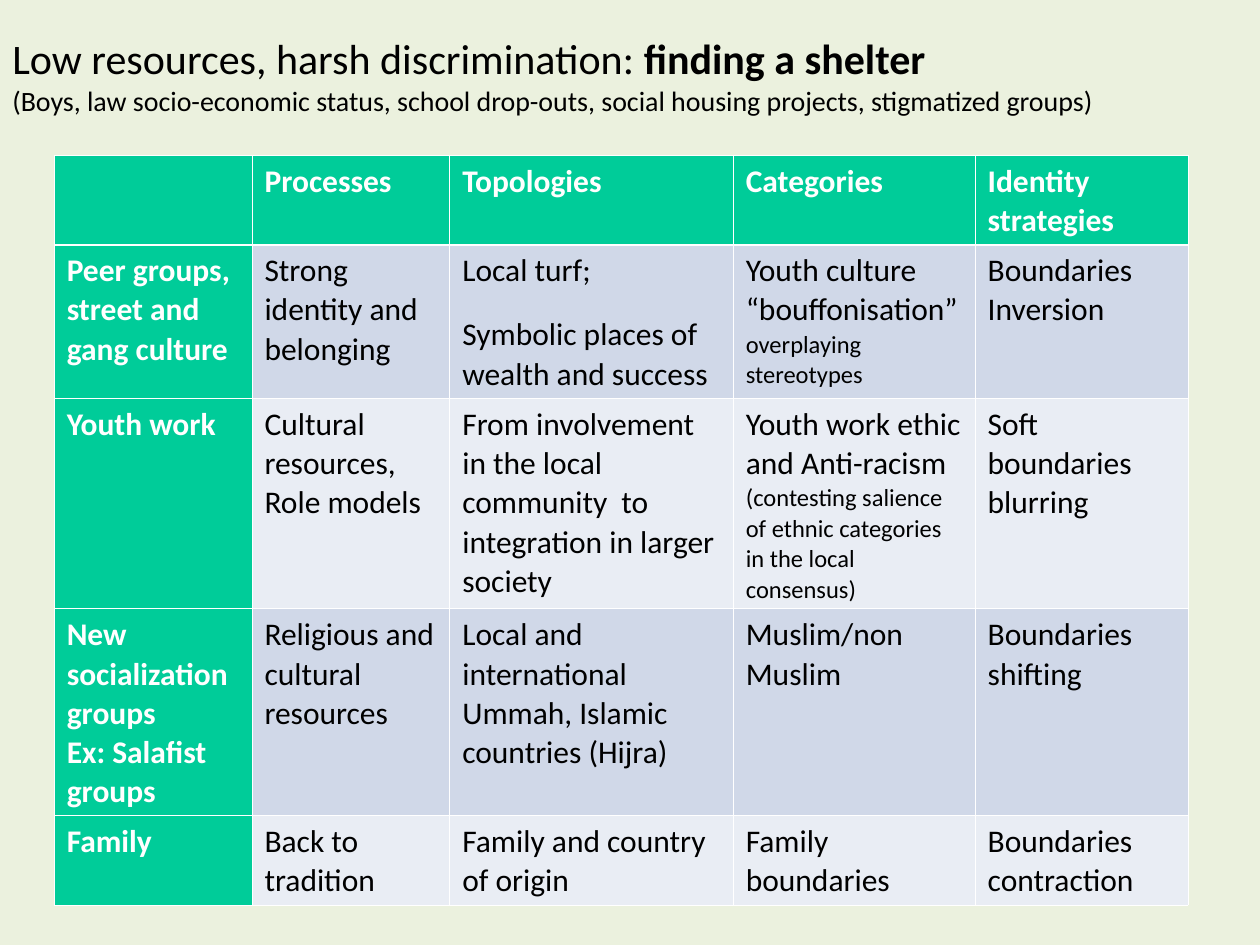
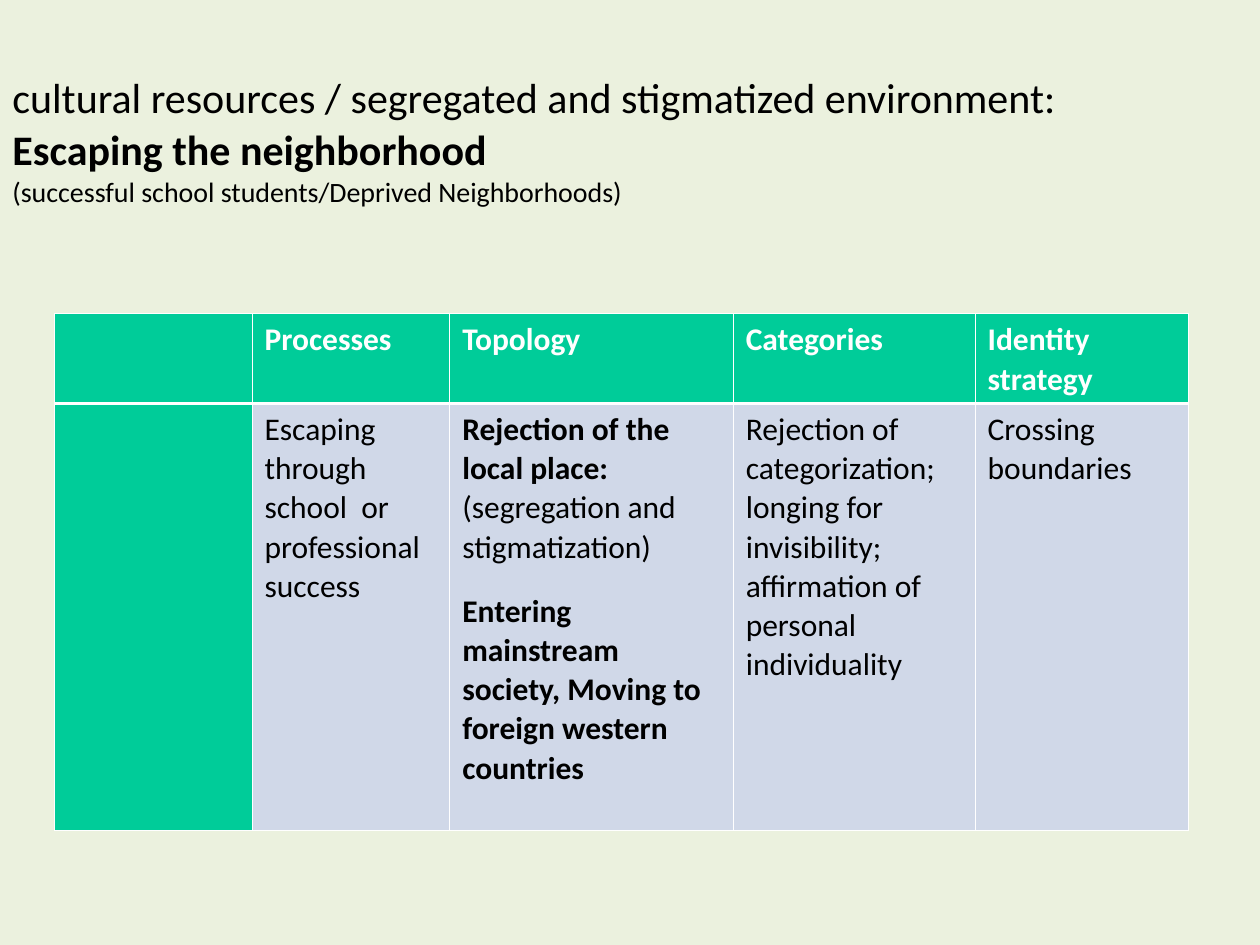
from lxml.etree import SubElement
from pptx import Presentation
from pptx.dml.color import RGBColor as RGB
from pptx.enum.text import MSO_ANCHOR as Anchor
from pptx.oxml.ns import qn
from pptx.util import Inches, Pt

COLORS = {
    "background": "EBF1DE",
    "header": "00CC99",
    "band_dark": "D0D8E8",
    "band_light": "E9EDF4",
    "border": "FFFFFF",
    "header_text": "FFFFFF",
    "text": "000000",
}
FONT = "Calibri"
COLUMN_WIDTHS = [1.57, 1.57, 2.25, 1.92, 1.69]
TITLE, SUBTITLE, BODY, DETAIL = 24, 16, 18, 14
THIN, THICK = 0.45, 1.47


def write(frame, paragraphs, color="text", after=0):
    frame.word_wrap = True
    for number, runs in enumerate(paragraphs):
        paragraph = frame.paragraphs[0] if number == 0 else frame.add_paragraph()
        paragraph.line_spacing = 1.02
        paragraph.space_after = Pt(after)
        for text, size, bold in runs:
            for part, line in enumerate(text.split("\n")):
                if part:
                    paragraph.add_line_break()
                if line:
                    run = paragraph.add_run()
                    run.text = line
                    run.font.name = FONT
                    run.font.size = Pt(size)
                    run.font.bold = bold
                    run.font.color.rgb = RGB.from_string(COLORS[color])


def draw_border(cell, side, width):
    line = SubElement(cell._tc.get_or_add_tcPr(), qn(f"a:ln{side}"), w=str(Pt(width)))
    fill = SubElement(line, qn("a:solidFill"))
    SubElement(fill, qn("a:srgbClr"), val=COLORS["border"])


shelter = {
    "title_top": 0,
    "title_height": 1.18,
    "title": [
        ("Low resources, harsh discrimination: ", TITLE, False),
        ("finding a shelter\n", TITLE, True),
        ("(Boys, law socio-economic status, school drop-outs, social housing projects, "
         "stigmatized groups)", SUBTITLE, False),
    ],
    "table_top": 1.23,
    "row_heights": [0.71, 1.22, 1.67, 1.64, 0.71],
    "rows": [
        ["", "Processes", "Topologies", "Categories", "Identity strategies"],
        ["Peer groups, street and gang culture",
         "Strong identity and belonging",
         [[("Local turf;", BODY, False)],
          [("Symbolic places of wealth and success", BODY, False)]],
         [[("Youth culture “bouffonisation”", BODY, False),
           (" overplaying stereotypes", DETAIL, False)]],
         "Boundaries Inversion"],
        ["Youth work",
         "Cultural resources, Role models",
         "From involvement in the local community  to integration in larger society",
         [[("Youth work ethic and Anti-racism ", BODY, False),
           ("(contesting salience of ethnic categories in the local consensus)",
            DETAIL, False)]],
         "Soft boundaries blurring"],
        ["New socialization groups \nEx: Salafist groups",
         "Religious and cultural resources",
         "Local and international Ummah, Islamic countries (Hijra)",
         "Muslim/non Muslim",
         "Boundaries shifting"],
        ["Family", "Back to tradition", "Family and country of origin",
         "Family boundaries", "Boundaries contraction"],
    ],
}

escape = {
    "title_top": 0.21,
    "title_height": 1.79,
    "title": [
        ("cultural resources / segregated and stigmatized environment: \n", TITLE, False),
        ("Escaping the neighborhood\n", TITLE, True),
        ("(successful school students/Deprived Neighborhoods)", SUBTITLE, False),
    ],
    "table_top": 2.49,
    "row_heights": [0.71, 3.39],
    "rows": [
        ["", "Processes", "Topology", "Categories", "Identity strategy"],
        ["",
         "Escaping through school  or professional success",
         [[("Rejection of the local place: ", BODY, True),
           ("(segregation and stigmatization)", BODY, False)],
          [("Entering mainstream society, Moving to foreign western countries",
            BODY, True)]],
         "Rejection of categorization; longing for invisibility; "
         "affirmation of personal individuality",
         "Crossing boundaries"],
    ],
}

deck = Presentation()
deck.slide_width, deck.slide_height = Inches(10), Inches(7.5)

for topic in (shelter, escape):
    slide = deck.slides.add_slide(deck.slide_layouts[6])
    slide.background.fill.solid()
    slide.background.fill.fore_color.rgb = RGB.from_string(COLORS["background"])

    heading = slide.shapes.add_textbox(
        0, Inches(topic["title_top"]), Inches(10), Inches(topic["title_height"]))
    heading.text_frame.vertical_anchor = Anchor.MIDDLE
    write(heading.text_frame, [topic["title"]])

    heights = topic["row_heights"]
    strategies = slide.shapes.add_table(
        len(heights), len(COLUMN_WIDTHS), Inches(0.43), Inches(topic["table_top"]),
        Inches(sum(COLUMN_WIDTHS)), Inches(sum(heights))).table
    for column, width in zip(strategies.columns, COLUMN_WIDTHS):
        column.width = Inches(width)
    for row, height in zip(strategies.rows, heights):
        row.height = Inches(height)

    for r, entries in enumerate(topic["rows"]):
        for c, entry in enumerate(entries):
            cell = strategies.cell(r, c)
            is_header = r == 0 or c == 0
            cell.margin_left = cell.margin_right = Inches(0.1)
            cell.margin_top = cell.margin_bottom = Inches(0.05)
            draw_border(cell, "L", THIN)
            draw_border(cell, "R", THIN)
            draw_border(cell, "T", THICK if r == 1 else THIN)
            draw_border(cell, "B", THICK if r == 0 else THIN)
            band = "header" if is_header else "band_dark" if r % 2 else "band_light"
            cell.fill.solid()
            cell.fill.fore_color.rgb = RGB.from_string(COLORS[band])
            if entry:
                paragraphs = [[(entry, BODY, is_header)]] if isinstance(entry, str) else entry
                write(cell.text_frame, paragraphs,
                      color="header_text" if is_header else "text", after=14.3)

deck.save("out.pptx")
